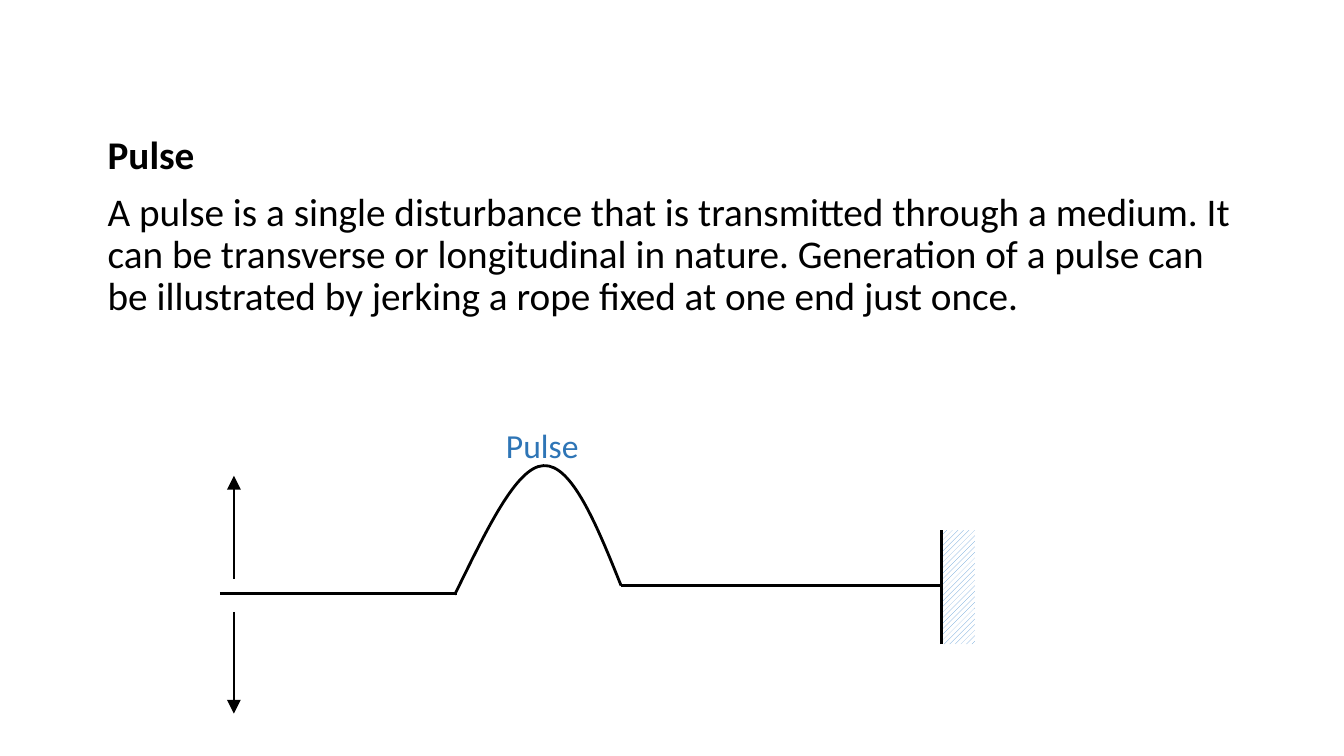
from lxml import etree
from pptx import Presentation
from pptx.dml.color import RGBColor
from pptx.enum.dml import MSO_PATTERN
from pptx.enum.shapes import MSO_CONNECTOR, MSO_SHAPE
from pptx.oxml.ns import qn
from pptx.util import Inches, Pt

BLACK = RGBColor(0x00, 0x00, 0x00)
WHITE = RGBColor(0xFF, 0xFF, 0xFF)
LABEL_BLUE = RGBColor(0x2E, 0x75, 0xB6)
HATCH_BLUE = RGBColor(0x5B, 0x9B, 0xD5)
STRAIGHT = MSO_CONNECTOR.STRAIGHT
RECTANGLE = MSO_SHAPE.RECTANGLE
WIDE_UPWARD = MSO_PATTERN.WIDE_UPWARD_DIAGONAL
FONT = "Calibri"
ROPE_STROKE = Pt(2)
ARROW_STROKE = Pt(1.5)

WALL_X, WALL_TOP, WALL_BOTTOM = 9.34, 5.26, 6.39
HAND_X = 2.32
EXPLANATION = (
    "A pulse is a single disturbance that is transmitted through a medium. "
    "It can be transverse or longitudinal in nature. Generation of a pulse can "
    "be illustrated by jerking a rope fixed at one end just once."
)


def add_text(slide, box, text, size, color):
    textbox = slide.shapes.add_textbox(*map(Inches, box))
    frame = textbox.text_frame
    frame.word_wrap = True
    frame.text = text
    for paragraph in frame.paragraphs:
        for run in paragraph.runs:
            run.font.name = FONT
            run.font.size = Pt(size)
            run.font.color.rgb = color
    return textbox


def add_body(slide):
    body = add_text(slide, (0.97, 1.3, 11.5, 2.58), f"Pulse\n{EXPLANATION}", 28, BLACK)
    body.fill.solid()
    body.fill.fore_color.rgb = WHITE
    heading, explanation = body.text_frame.paragraphs
    heading.line_spacing = explanation.line_spacing = 0.9
    heading.runs[0].font.bold = True
    explanation.space_before = Pt(10)


def add_line(slide, start, end, stroke=ROPE_STROKE):
    line = slide.shapes.add_connector(STRAIGHT, *map(Inches, start + end))
    line.line.color.rgb = BLACK
    line.line.width = stroke
    etree.SubElement(line._element.spPr, qn("a:effectLst"))
    return line


def add_arrow(slide, start, end):
    arrow = add_line(slide, start, end, ARROW_STROKE)
    outline = arrow._element.spPr.find(qn("a:ln"))
    etree.SubElement(outline, qn("a:tailEnd"), type="triangle", w="lg", len="lg")


def add_curve(slide, points):
    start, *controls = [(Inches(x), Inches(y)) for x, y in points]
    builder = slide.shapes.build_freeform(*start)
    builder.add_line_segments(controls, close=False)
    curve = builder.convert_to_shape()
    curve.shadow.inherit = False
    curve.fill.background()
    curve.line.color.rgb = BLACK
    curve.line.width = ROPE_STROKE
    outline = next(curve._element.iter(qn("a:path")))
    segments = outline.findall(qn("a:lnTo"))
    for first in range(0, len(segments), 3):
        bezier = etree.SubElement(outline, qn("a:cubicBezTo"))
        for segment in segments[first:first + 3]:
            bezier.append(segment[0])
            outline.remove(segment)


def add_wall(slide):
    box = (WALL_X, WALL_TOP, 0.33, WALL_BOTTOM - WALL_TOP)
    wall = slide.shapes.add_shape(RECTANGLE, *map(Inches, box))
    wall.shadow.inherit = False
    wall.line.fill.background()
    wall.fill.patterned()
    wall.fill.pattern = WIDE_UPWARD
    wall.fill.fore_color.rgb = HATCH_BLUE
    wall.fill.back_color.rgb = WHITE
    add_line(slide, (WALL_X, WALL_BOTTOM), (WALL_X, WALL_TOP))


def main():
    prs = Presentation()
    prs.slide_width, prs.slide_height = Inches(13.33), Inches(7.5)
    slide = prs.slides.add_slide(prs.slide_layouts[6])
    add_body(slide)
    add_text(slide, (4.92, 4.17, 2.27, 0.5), "Pulse", 24, LABEL_BLUE)
    add_curve(slide, [
        (4.51, 5.9),
        (4.82, 5.27), (5.12, 4.63), (5.39, 4.62),
        (5.67, 4.6), (5.92, 5.21), (6.16, 5.81),
    ])
    add_line(slide, (6.16, 5.81), (WALL_X, 5.81))
    add_line(slide, (2.18, 5.89), (4.53, 5.89))
    for tail_y, tip_y in ((5.74, 4.72), (6.07, 7.08)):
        add_arrow(slide, (HAND_X, tail_y), (HAND_X, tip_y))
    add_wall(slide)
    prs.save("out.pptx")


if __name__ == "__main__":
    main()
